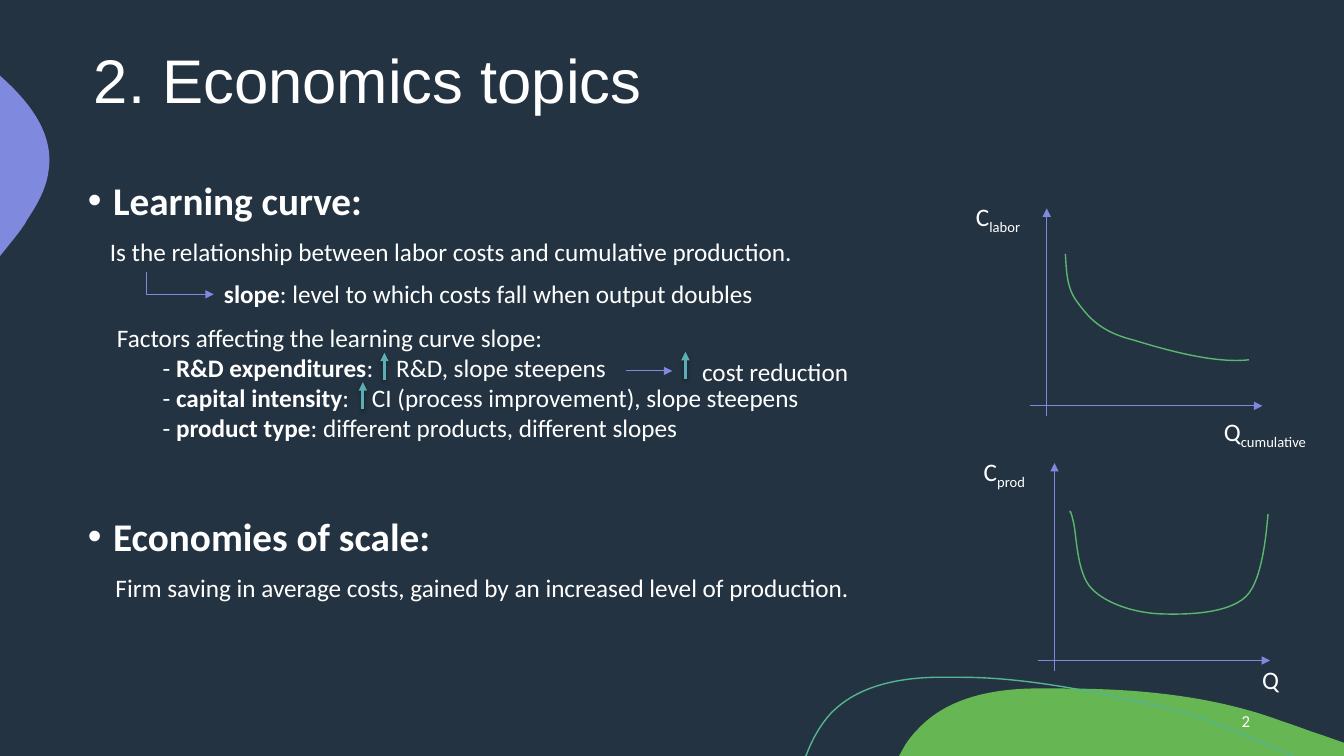
from lxml import etree
from pptx import Presentation
from pptx.dml.color import RGBColor
from pptx.enum.shapes import MSO_CONNECTOR
from pptx.enum.text import MSO_ANCHOR, PP_ALIGN
from pptx.oxml.ns import qn
from pptx.util import Pt

STRAIGHT = MSO_CONNECTOR.STRAIGHT
MIDDLE, TOP = MSO_ANCHOR.MIDDLE, MSO_ANCHOR.TOP
LEFT, RIGHT = PP_ALIGN.LEFT, PP_ALIGN.RIGHT

COLORS = {
    "background": "243341", "text": "FFFFFF", "hill": "66B653", "violet": "7F89DE",
    "wave": "53B592", "curve": "59B76E", "increase": "5BAFB4", "shadow": "000000",
}

HILL = [
    (758.9, 491.8), (812.2, 491.8, 866.9, 496.8, 916.6, 515.5),
    (925.9, 518.4, 934.6, 522, 943.9, 524.9), (960, 530.6), (960, 540),
    (642.2, 540), (646.6, 532.1), (649.4, 527.8, 652.3, 524.2, 655.9, 520.6),
    (676.1, 499, 707, 492.5, 736.6, 491.8), (743.8, 491.8, 751, 491.8, 758.9, 491.8),
]
SIDE_BULGE = [
    (0, 54), (0.7, 54.7), (21.6, 73.4, 38.9, 95.8, 34.6, 122.4),
    (33.1, 134.6, 26.6, 146.2, 19.4, 157), (17.3, 161.3, 12.2, 167.8, 5.8, 175.7),
    (0, 182.9),
]
WAVE = [
    (575.3, 540), (576, 539.3), (580.3, 527.8, 586.1, 517.7, 593.3, 509.8),
    (612, 490.3, 640.1, 484.6, 666.7, 483.8), (687.6, 483.8),
    (735.8, 483.8, 792, 496.1, 831.6, 505.4), (870.5, 514.8, 882.7, 523.4, 923.8, 540),
]
LEARNING_CURVE = [
    (761, 181.4), (761.8, 193.7, 761.8, 205.9, 769.7, 216),
    (777.6, 226.8, 786.2, 236.9, 808.6, 242.6), (830.2, 249.1, 866.2, 259.9, 892.1, 257),
]
SCALE_CURVE = [
    (764.6, 366.5), (763.9, 364.3, 764.6, 363.6, 766.8, 373),
    (769, 381.6, 769, 409.7, 779.8, 420.5), (790.2, 431.3, 810.7, 437.8, 828.7, 438.5),
    (847.4, 439.2, 877, 438.5, 889.9, 426.2), (902.9, 414, 905, 373, 905.8, 367.2),
]
FILLED_OUTLINES = [(HILL, "hill"), (SIDE_BULGE, "violet")]
OPEN_CURVES = [(WAVE, "wave"), (LEARNING_CURVE, "curve"), (SCALE_CURVE, "curve")]

TITLE = ("2. Economics topics", (60, -0.5, 840, 120))
HEADINGS = [
    ("Learning curve:", (55.7, 121, 243.4, 44.6)),
    ("Economies of scale:", (55.7, 360.7, 311.8, 44.6)),
]
BODY = [
    ([("Is the relationship between labor costs and cumulative production.", "")],
     (71.4, 165.2, 613.4, 29)),
    ([("Firm saving in average costs, gained by an increased level of production.", "")],
     (75.4, 405.4, 615.2, 29)),
    ([("slope", "bold"), (": level to which costs fall when output doubles", "")],
     (152.9, 195.5, 496.1, 29)),
    ([("cost reduction", "")], (494.4, 250.6, 497.8, 29)),
    ([("C", ""), ("labor", "subscript")], (690, 140, 92.2, 29)),
    ([("Q", ""), ("cumulative", "subscript")], (867.1, 293.8, 92.2, 29)),
    ([("C", ""), ("prod", "subscript")], (695.6, 322.1, 92.2, 29)),
    ([("Q", "")], (894.4, 470.9, 92.2, 29)),
]
FACTORS_TITLE = "Factors affecting the learning curve slope:"
FACTORS = [
    [("- ", ""), ("R&D expenditures", "bold"), (":", ""), (" ", "gap"),
     ("R&D, slope steepens", "")],
    [("- ", ""), ("capital intensity", "bold"), (":", ""), (" ", "gap"),
     ("CI (process improvement), slope steepens", "")],
    [("- ", ""), ("product type", "bold"), (": different products, different slopes", "")],
]
FACTORS_BOX = (76.5, 226.5, 626.4, 94.3)
PAGE_NUMBER = ("2", (779.8, 500.4, 120.2, 28.8))

AXES_ORIGINS = [(747.7, 289.9), (753.2, 471.8)]
AXIS_HEIGHT, AXIS_WIDTH, AXIS_OVERHANG_X, AXIS_OVERHANG_Y = 141, 154, 11.8, 7.4
SLOPE_POINTER = [(104.6, 194.4), (104.6, 210.2), (152.7, 210.2)]
RESULT_POINTER = [(447.1, 265), (480.2, 265)]
INCREASE_ARROWS = [(274.6, 271.4), (489.6, 270.7), (259.2, 292.3)]
INCREASE_LENGTH = 19.4
FACTOR_INDENT, GAP_SPACING = 32.6, 12.2
BULLET_INDENT = 18


def color(name):
    return RGBColor.from_string(COLORS[name])


def add_xml(parent, tag, **attributes):
    return etree.SubElement(parent, qn(tag), attributes)


def bend_segments(shape, segments):
    lines = list(shape._element.iter(qn("a:lnTo")))
    for line, segment in zip(lines, segments[1:]):
        if len(segment) == 2:
            continue
        line.tag = qn("a:cubicBezTo")
        for point in list(line):
            line.remove(point)
        for x, y in zip(segment[::2], segment[1::2]):
            add_xml(line, "a:pt", x=str(Pt(x) - shape.left), y=str(Pt(y) - shape.top))


def add_outline(slide, segments, color_name, filled):
    corners = [tuple(map(Pt, segment[-2:])) for segment in segments]
    builder = slide.shapes.build_freeform(*corners[0])
    builder.add_line_segments(corners[1:], close=filled)
    shape = builder.convert_to_shape()
    bend_segments(shape, segments)
    shape.shadow.inherit = False
    if filled:
        shape.fill.solid()
        shape.fill.fore_color.rgb = color(color_name)
        shape.line.fill.background()
    else:
        shape.fill.background()
        shape.line.color.rgb = color(color_name)
        shape.line.width = Pt(1)


def add_line(slide, start, end, color_name="violet", width=0.75, arrow=True, shadow=False):
    connector = slide.shapes.add_connector(STRAIGHT, *map(Pt, start + end))
    connector.line.color.rgb = color(color_name)
    connector.line.width = Pt(width)
    properties = connector._element.spPr
    if arrow:
        add_xml(properties.find(qn("a:ln")), "a:tailEnd", type="triangle")
    effects = add_xml(properties, "a:effectLst")
    if shadow:
        outer = add_xml(effects, "a:outerShdw", blurRad=str(Pt(3.1)), dist=str(Pt(1.6)),
                        dir="5400000", rotWithShape="0")
        shade = add_xml(outer, "a:srgbClr", val=COLORS["shadow"])
        add_xml(shade, "a:alpha", val="38000")


def add_text(slide, paragraphs, box, size=18, font="Calibri", bold=False, anchor=TOP,
             align=LEFT, spacing=None, bullet=False):
    frame = slide.shapes.add_textbox(*map(Pt, box)).text_frame
    frame.word_wrap = True
    frame.vertical_anchor = anchor
    for index, (indent, runs) in enumerate(paragraphs):
        paragraph = frame.add_paragraph() if index else frame.paragraphs[0]
        paragraph.alignment = align
        if spacing:
            paragraph.line_spacing = spacing
        properties = paragraph._p.get_or_add_pPr()
        if indent:
            properties.set("marL", str(Pt(indent)))
        if bullet:
            properties.set("indent", str(-Pt(indent)))
            add_xml(add_xml(properties, "a:buClr"), "a:srgbClr", val=COLORS["text"])
            add_xml(properties, "a:buFont", typeface="Arial")
            add_xml(properties, "a:buChar", char="•")
        paragraph.font.size = Pt(size)
        paragraph.font.name = font
        paragraph.font.bold = bold
        paragraph.font.color.rgb = color("text")
        for text, style in runs:
            run = paragraph.add_run()
            run.text = text
            if style == "bold":
                run.font.bold = True
            elif style == "subscript":
                run._r.get_or_add_rPr().set("baseline", "-25000")
            elif style == "gap":
                run._r.get_or_add_rPr().set("spc", str(round(GAP_SPACING * 100)))


def main():
    presentation = Presentation()
    presentation.slide_width, presentation.slide_height = Pt(960), Pt(540)
    slide = presentation.slides.add_slide(presentation.slide_layouts[6])
    slide.background.fill.solid()
    slide.background.fill.fore_color.rgb = color("background")

    for segments, name in FILLED_OUTLINES:
        add_outline(slide, segments, name, True)
    for segments, name in OPEN_CURVES:
        add_outline(slide, segments, name, False)

    text, box = TITLE
    add_text(slide, [(0, [(text, "")])], box, 44, "Arial", anchor=MIDDLE, spacing=0.9)
    for text, box in HEADINGS:
        add_text(slide, [(BULLET_INDENT, [(text, "")])], box, 28, bold=True, spacing=1.05,
                 bullet=True)
    for runs, box in BODY:
        add_text(slide, [(0, runs)], box)
    factors = [(0, [(FACTORS_TITLE, "")])] + [(FACTOR_INDENT, runs) for runs in FACTORS]
    add_text(slide, factors, FACTORS_BOX)
    text, box = PAGE_NUMBER
    add_text(slide, [(0, [(text, "")])], box, 12, anchor=MIDDLE, align=RIGHT)

    for x, y in AXES_ORIGINS:
        add_line(slide, (x, y + AXIS_OVERHANG_Y), (x, y - AXIS_HEIGHT))
        add_line(slide, (x - AXIS_OVERHANG_X, y), (x + AXIS_WIDTH, y))
    start, corner, end = SLOPE_POINTER
    add_line(slide, start, corner, arrow=False)
    add_line(slide, corner, end)
    add_line(slide, *RESULT_POINTER)
    for x, y in INCREASE_ARROWS:
        add_line(slide, (x, y), (x, y - INCREASE_LENGTH), "increase", 2, shadow=True)

    presentation.save("out.pptx")


if __name__ == "__main__":
    main()
